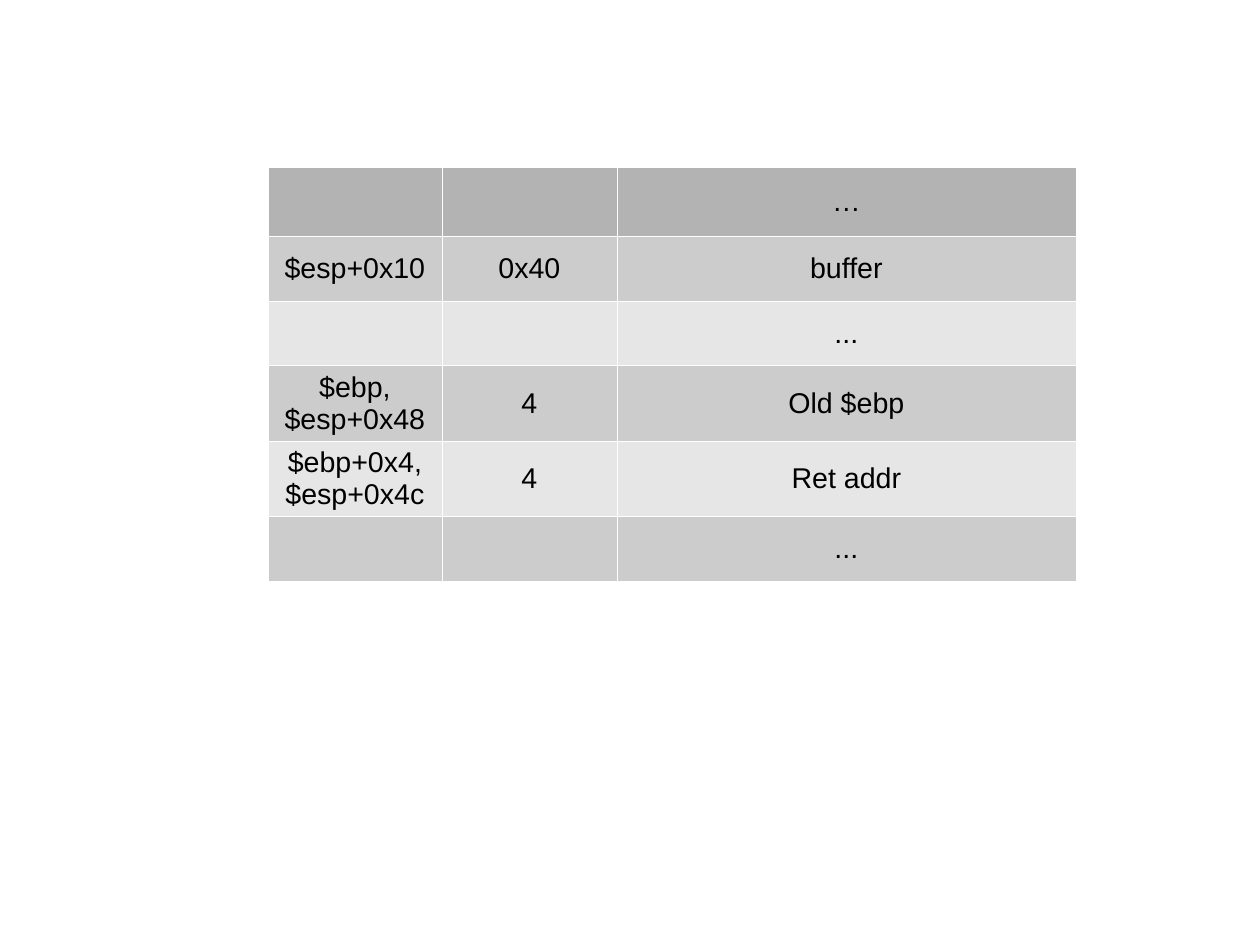
from lxml.etree import SubElement
from pptx import Presentation
from pptx.dml.color import RGBColor
from pptx.enum.text import MSO_ANCHOR, PP_ALIGN
from pptx.oxml.ns import qn
from pptx.util import Pt

# Content: address, size, stack entry
STACK_ROWS = [
    ("", "", "…"),
    ("$esp+0x10", "0x40", "buffer"),
    ("", "", "..."),
    ("$ebp, $esp+0x48", "4", "Old $ebp"),
    ("$ebp+0x4, $esp+0x4c", "4", "Ret addr"),
    ("", "", "..."),
]

# Style
BLACK = RGBColor(0x00, 0x00, 0x00)
HEADER_GRAY = RGBColor(0xB3, 0xB3, 0xB3)
BAND_GRAYS = (RGBColor(0xE6, 0xE6, 0xE6), RGBColor(0xCC, 0xCC, 0xCC))
BORDER = RGBColor(0xFF, 0xFF, 0xFF)
BORDER_WIDTH = 0.06

# Layout in points
SLIDE_W, SLIDE_H = 793.7, 595.3
LEFT, TOP = 168.6, 105.4
COL_WIDTHS = (109.9, 109.9, 289.5)
HEADER_H, ROW_H = 43.5, 40.7


def set_text(cell, text, font="Arial", size=18, color=BLACK, align=PP_ALIGN.CENTER):
    p = cell.text_frame.paragraphs[0]
    p.alignment = align
    p.font.size = Pt(size)
    if text:
        r = p.add_run()
        r.text = text
        r.font.name = font
        r.font.size = Pt(size)
        r.font.color.rgb = color


def set_borders(cell):
    tc_pr = cell._tc.get_or_add_tcPr()
    for side in ("a:lnL", "a:lnR", "a:lnT", "a:lnB"):
        ln = SubElement(tc_pr, qn(side), w=str(Pt(BORDER_WIDTH)))
        fill = SubElement(ln, qn("a:solidFill"))
        SubElement(fill, qn("a:srgbClr"), val=str(BORDER))


prs = Presentation()
prs.slide_width, prs.slide_height = Pt(SLIDE_W), Pt(SLIDE_H)
s = prs.slides.add_slide(prs.slide_layouts[6])

# Table grid
row_heights = [HEADER_H] + [ROW_H] * (len(STACK_ROWS) - 1)
table = s.shapes.add_table(
    len(STACK_ROWS), len(COL_WIDTHS),
    Pt(LEFT), Pt(TOP), Pt(sum(COL_WIDTHS)), Pt(sum(row_heights)),
).table
for column, width in zip(table.columns, COL_WIDTHS):
    column.width = Pt(width)
for row, height in zip(table.rows, row_heights):
    row.height = Pt(height)

# Cells: header row, then alternating bands
for i, entries in enumerate(STACK_ROWS):
    for j, text in enumerate(entries):
        cell = table.cell(i, j)
        cell.vertical_anchor = MSO_ANCHOR.MIDDLE
        set_text(cell, text)
        set_borders(cell)
        cell.fill.solid()
        cell.fill.fore_color.rgb = BAND_GRAYS[i % 2] if i else HEADER_GRAY

prs.save("out.pptx")
